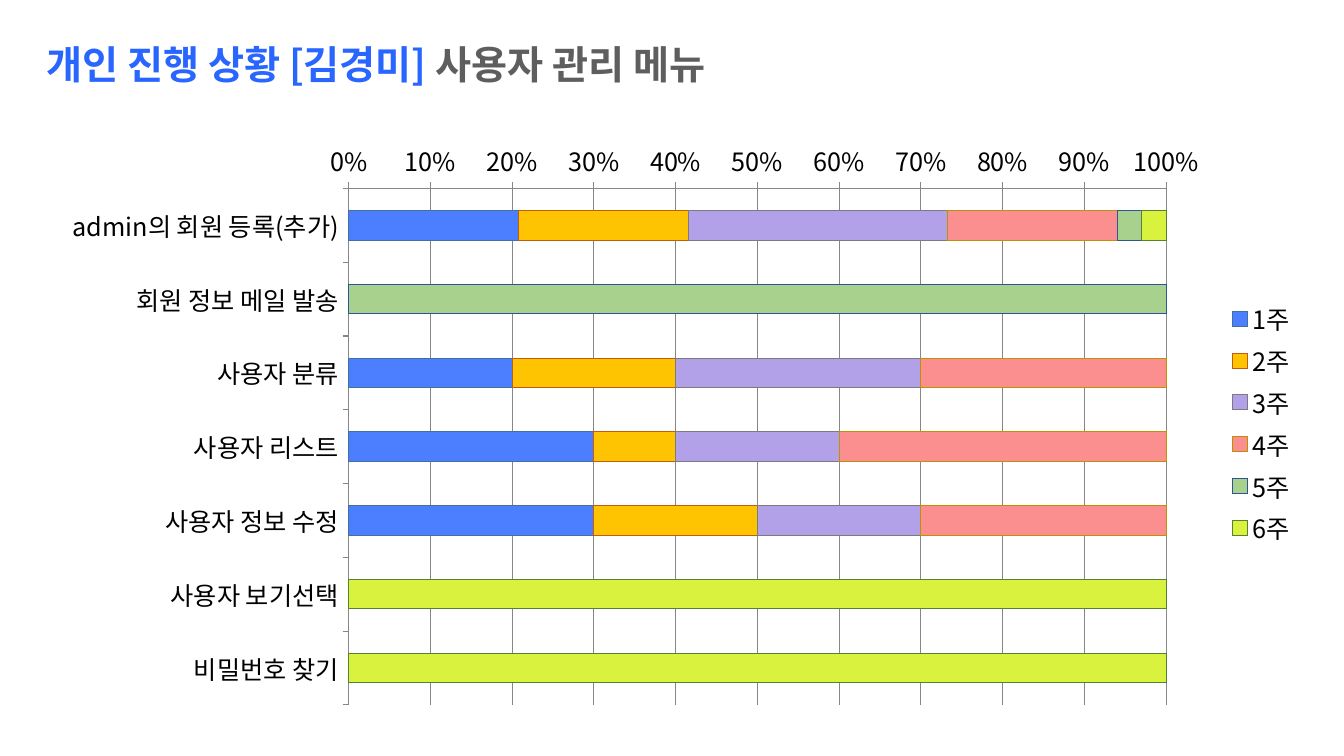
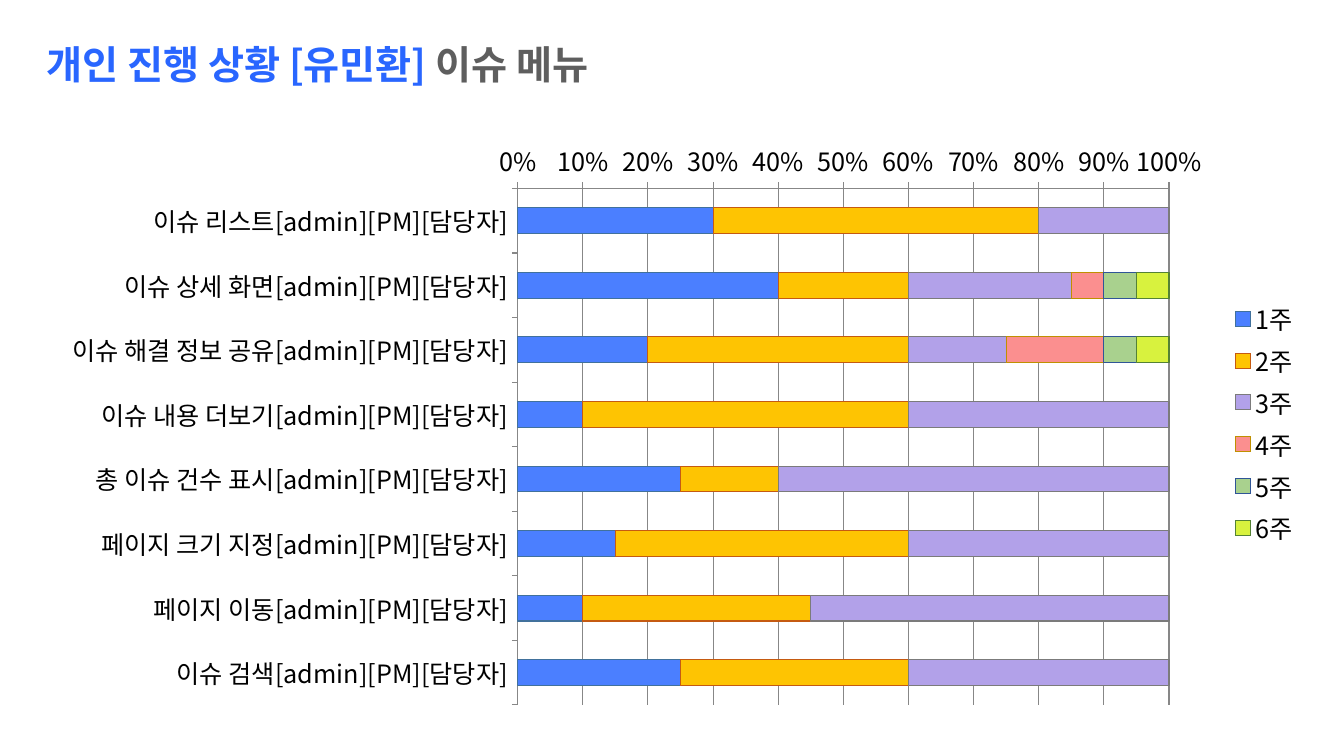
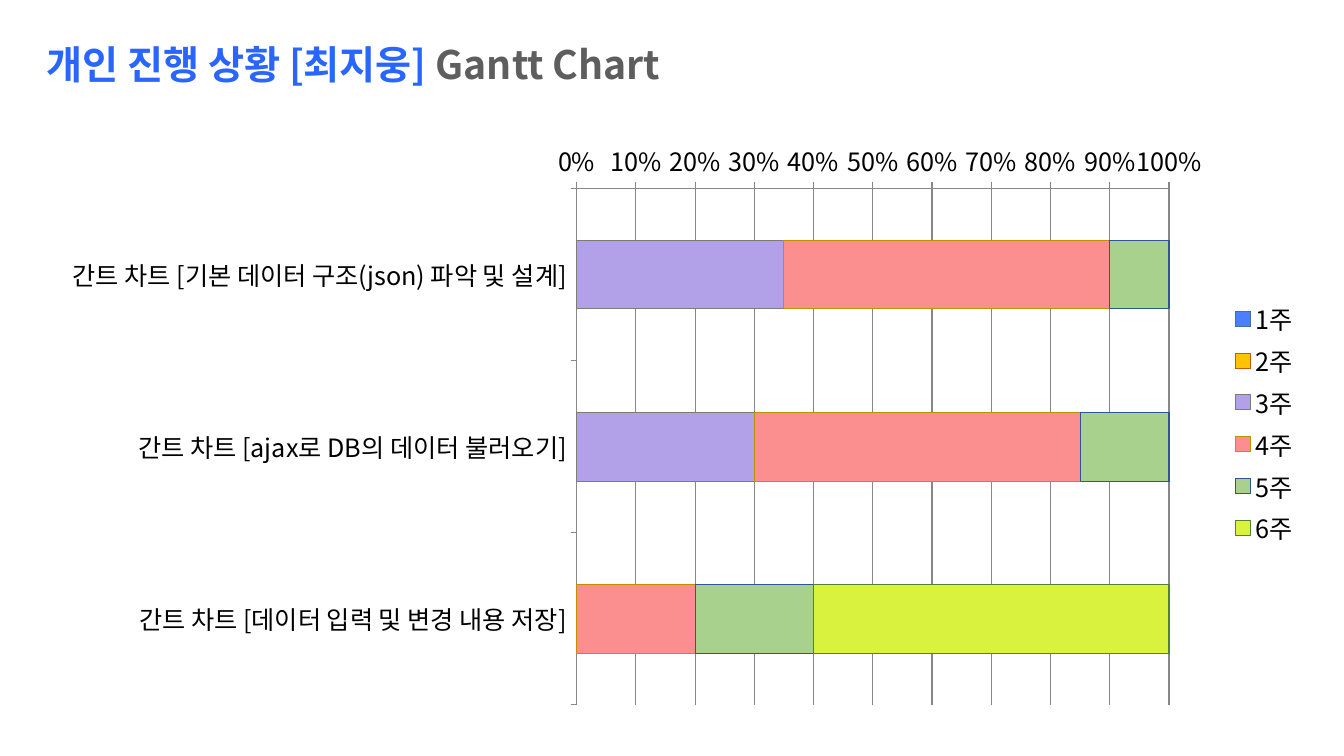
from dataclasses import dataclass
from typing import Optional

from lxml import etree
from pptx import Presentation
from pptx.chart.data import CategoryChartData
from pptx.dml.color import RGBColor
from pptx.enum.chart import XL_CHART_TYPE, XL_LEGEND_POSITION, XL_TICK_MARK
from pptx.enum.text import MSO_AUTO_SIZE
from pptx.oxml.ns import qn
from pptx.util import Inches, Pt

STACKED = XL_CHART_TYPE.BAR_STACKED_100
LEGEND_RIGHT = XL_LEGEND_POSITION.RIGHT
TICK_OUT = XL_TICK_MARK.OUTSIDE
FIT_SHAPE = MSO_AUTO_SIZE.SHAPE_TO_FIT_TEXT

# The slide is a grid of 100 columns by 100 rows
SLIDE_WIDTH, SLIDE_HEIGHT = Inches(13.33), Inches(7.5)
COLUMN, ROW = SLIDE_WIDTH / 100, SLIDE_HEIGHT / 100


@dataclass(frozen=True)
class Theme:
    font: str = "Noto Sans CJK KR"
    title_size: int = 28
    chart_size: int = 18
    hairline: float = 0.75
    owner: str = "2966FF"
    menu: str = "5E5E5E"
    chart_text: str = "000000"
    axis: str = "878787"


@dataclass(frozen=True)
class Week:
    name: str
    fill: str
    outline: str


@dataclass(frozen=True)
class Area:
    left: float
    top: float
    width: float
    height: float

    def lengths(self) -> tuple[int, ...]:
        return (int(self.left * COLUMN), int(self.top * ROW),
                int(self.width * COLUMN), int(self.height * ROW))


@dataclass(frozen=True)
class Progress:
    owner: str
    menu: str
    title_columns: float
    chart_columns: float
    tasks: dict[str, tuple[Optional[int], ...]]  # share of each week


THEME = Theme()
WEEKS = (
    Week("1주", "4B7FFF", "41719C"),
    Week("2주", "FEC402", "C55A11"),
    Week("3주", "B2A1E9", "7B7B7B"),
    Week("4주", "FB8F8F", "BF9000"),
    Week("5주", "A9D18E", "2F5597"),
    Week("6주", "D8F23E", "548235"),
)
ROLES = "[admin][PM][담당자]"
NO = None

PROGRESS = (
    Progress("김경미", "사용자 관리 메뉴", 61.74, 93.7, {
        "admin의 회원 등록(추가)": (21, 21, 32, 21, 3, 3),
        "회원 정보 메일 발송": (NO, NO, NO, NO, 100, 0),
        "사용자 분류": (20, 20, 30, 30, NO, NO),
        "사용자 리스트": (30, 10, 20, 40, NO, NO),
        "사용자 정보 수정": (30, 20, 20, 30, NO, NO),
        "사용자 보기선택": (NO, NO, NO, NO, NO, 100),
        "비밀번호 찾기": (NO, NO, NO, NO, NO, 100),
    }),
    Progress("유민환", "이슈 메뉴", 51.24, 93.92, {
        f"이슈 리스트{ROLES}": (30, 50, 20, NO, NO, NO),
        f"이슈 상세 화면{ROLES}": (40, 20, 25, 5, 5, 5),
        f"이슈 해결 정보 공유{ROLES}": (20, 40, 15, 15, 5, 5),
        f"이슈 내용 더보기{ROLES}": (10, 50, 40, NO, NO, NO),
        f"총 이슈 건수 표시{ROLES}": (25, 15, 60, NO, NO, NO),
        f"페이지 크기 지정{ROLES}": (15, 45, 40, NO, NO, NO),
        f"페이지 이동{ROLES}": (10, 35, 55, NO, NO, NO),
        f"이슈 검색{ROLES}": (25, 35, 40, NO, NO, NO),
    }),
    Progress("최지웅", "Gantt Chart", 51.99, 93.92, {
        "간트 차트 [기본 데이터 구조(json) 파악 및 설계]": (NO, NO, 35, 55, 10, NO),
        "간트 차트 [ajax로 DB의 데이터 불러오기]": (NO, NO, 30, 55, 15, NO),
        "간트 차트 [데이터 입력 및 변경 내용 저장]": (NO, NO, NO, 20, 20, 60),
    }),
)


def apply(target, values: dict) -> None:
    for attribute, value in values.items():
        setattr(target, attribute, value)


def style_font(font, size: int, color: str, bold: bool) -> None:
    apply(font, {"name": THEME.font, "size": Pt(size), "bold": bold})
    font.color.rgb = RGBColor.from_string(color)


def style_line(line, color: str) -> None:
    line.width = Pt(THEME.hairline)
    line.color.rgb = RGBColor.from_string(color)


def use_font_for_korean(element) -> None:
    for properties in element.iter(qn("a:rPr"), qn("a:defRPr")):
        if properties.find(qn("a:latin")) is not None:
            etree.SubElement(properties, qn("a:ea"), typeface=THEME.font)


# Title: owner in blue, menu in grey
def add_title(slide, progress: Progress) -> None:
    area = Area(3.45, 5.33, progress.title_columns, 6.27)
    title = slide.shapes.add_textbox(*area.lengths())
    frame = title.text_frame
    apply(frame, {"margin_left": 0, "margin_top": 0, "margin_right": 0,
                  "margin_bottom": 0, "word_wrap": True, "auto_size": FIT_SHAPE})
    parts = ((f"개인 진행 상황 [{progress.owner}] ", THEME.owner),
             (progress.menu, THEME.menu))
    for text, color in parts:
        run = frame.paragraphs[0].add_run()
        run.text = text
        style_font(run.font, THEME.title_size, color, True)
    use_font_for_korean(title.element)


# Chart: one bar per task, split by week
def add_progress_chart(slide, progress: Progress) -> None:
    data = CategoryChartData()
    data.categories = list(progress.tasks)
    for week, shares in zip(WEEKS, zip(*progress.tasks.values())):
        data.add_series(week.name, shares)
    area = Area(3.53, 17.2, progress.chart_columns, 77.6)
    chart = slide.shapes.add_chart(STACKED, *area.lengths(), data).chart
    apply(chart, {"has_title": False, "has_legend": True})
    apply(chart.legend, {"position": LEGEND_RIGHT, "include_in_layout": False})
    style_font(chart.font, THEME.chart_size, THEME.chart_text, False)
    use_font_for_korean(chart.element)

    plot = chart.plots[0]
    apply(plot, {"gap_width": 150, "overlap": 100, "vary_by_categories": False})
    for week, series in zip(WEEKS, plot.series):
        series.format.fill.solid()
        series.format.fill.fore_color.rgb = RGBColor.from_string(week.fill)
        style_line(series.format.line, week.outline)

    tasks_axis, share_axis = chart.category_axis, chart.value_axis
    tasks_axis.reverse_order = True
    share_axis.has_major_gridlines = True
    apply(share_axis.tick_labels,
          {"number_format": "0%", "number_format_is_linked": False})
    style_line(share_axis.major_gridlines.format.line, THEME.axis)
    for axis in (tasks_axis, share_axis):
        axis.major_tick_mark = TICK_OUT
        style_line(axis.format.line, THEME.axis)


def main() -> None:
    deck = Presentation()
    apply(deck, {"slide_width": SLIDE_WIDTH, "slide_height": SLIDE_HEIGHT})
    blank = deck.slide_layouts[6]
    for progress in PROGRESS:
        slide = deck.slides.add_slide(blank)
        add_progress_chart(slide, progress)
        add_title(slide, progress)
    deck.save("out.pptx")


if __name__ == "__main__":
    main()
